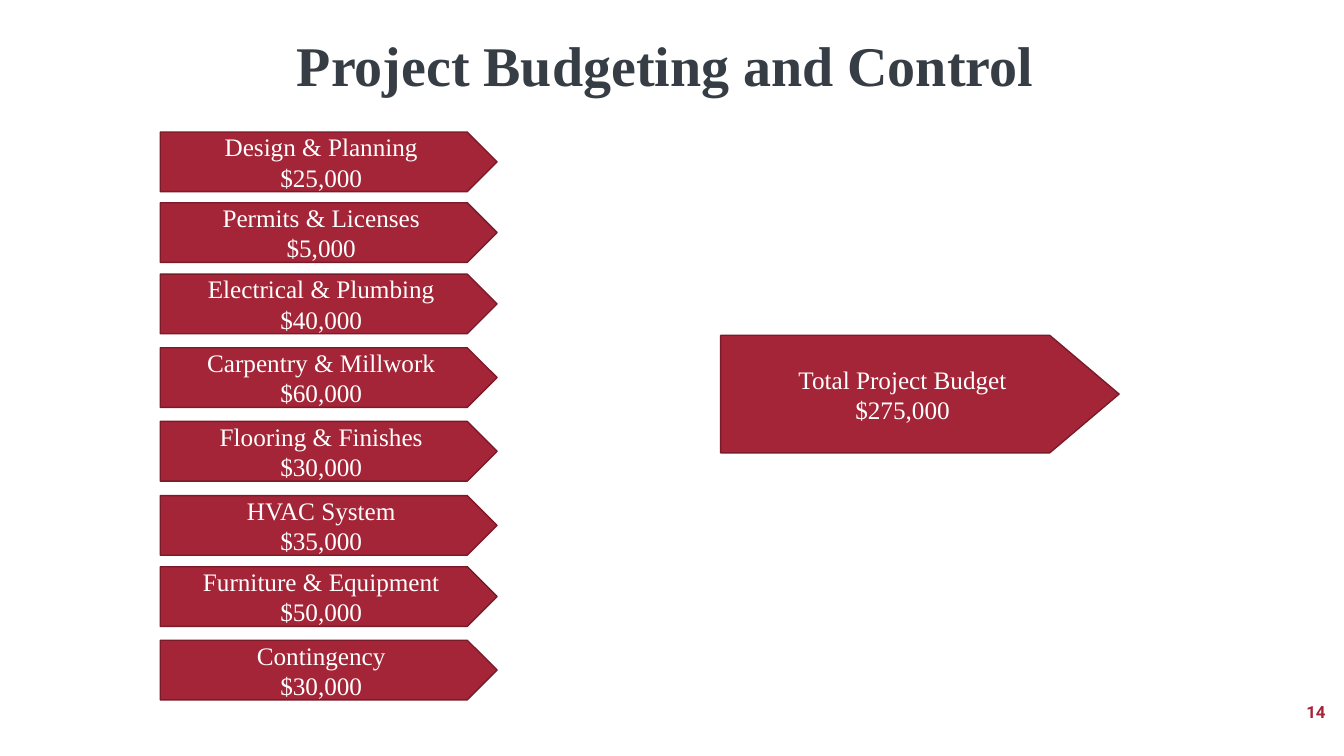
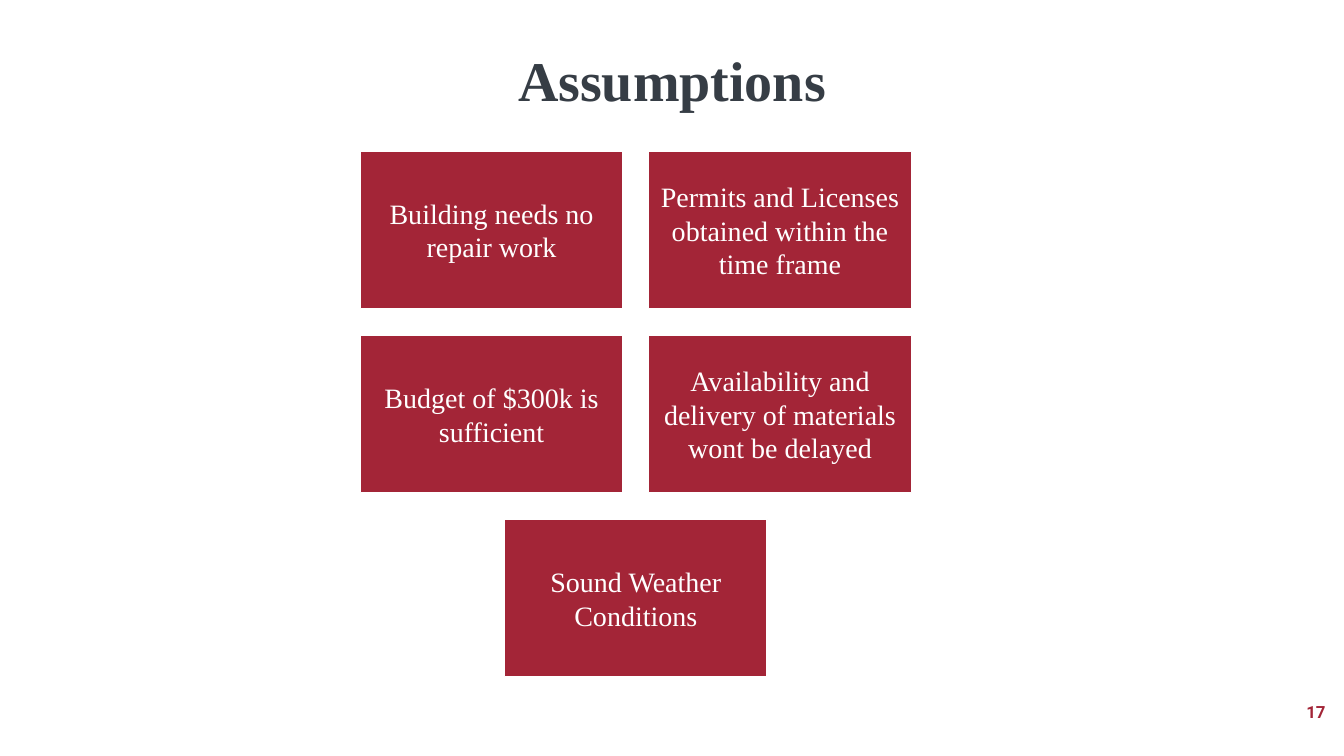
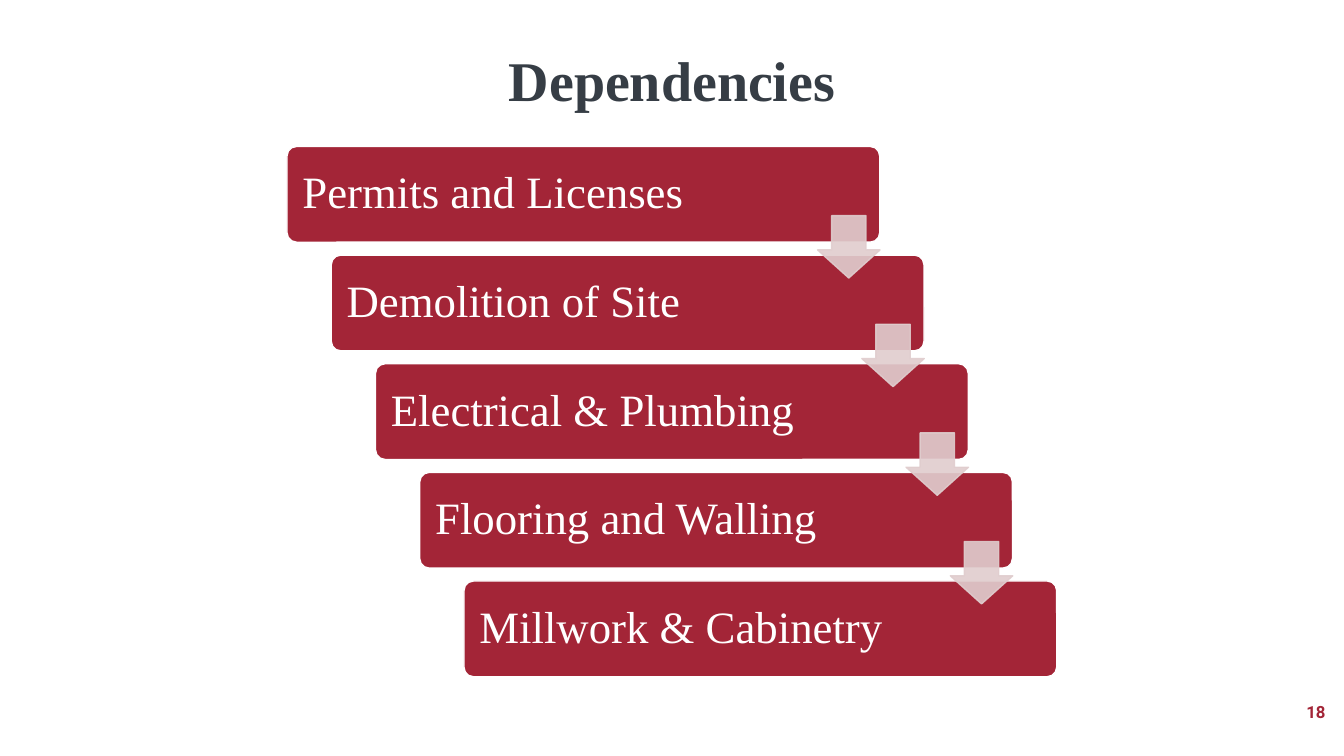
import lxml.etree
import pptx
import pptx.dml.color
import pptx.enum.shapes
import pptx.enum.text
import pptx.oxml.ns
import pptx.util

Pt = pptx.util.Pt
ALIGN = pptx.enum.text.PP_ALIGN
ANCHOR = pptx.enum.text.MSO_ANCHOR
SHAPE = pptx.enum.shapes.MSO_SHAPE

RED, DARK_RED, PINK = "A32537", "791B29", "E0CDCE"
SLATE, WHITE = "363D45", "FFFFFF"
SERIF, SANS = "Times New Roman", "Roboto"

COSTS = [
    (94.3, "Design & Planning", "$25,000"),
    (144.8, "Permits & Licenses", "$5,000"),
    (195.8, "Electrical & Plumbing", "$40,000"),
    (248.4, "Carpentry & Millwork", "$60,000"),
    (301, "Flooring & Finishes", "$30,000"),
    (354, "HVAC System", "$35,000"),
    (404.8, "Furniture & Equipment", "$50,000"),
    (457.3, "Contingency", "$30,000"),
]
ASSUMPTIONS = [
    "Building needs no repair work",
    "Permits and Licenses obtained within the time frame",
    "Budget of $300k is sufficient",
    "Availability and delivery of materials wont be delayed",
    "Sound Weather Conditions",
]
DEPENDENCIES = [
    "Permits and Licenses",
    "Demolition of Site",
    "Electrical & Plumbing",
    "Flooring and Walling",
    "Millwork & Cabinetry",
]


def paint(color_format, color):
    """Set a colour format to a hex colour."""
    color_format.rgb = pptx.dml.color.RGBColor.from_string(color)


def write(box, text, size=18, color=WHITE, font=SERIF, bold=False,
          align=ALIGN.CENTER, anchor=ANCHOR.MIDDLE, spacing=None, insets=(7.2, 3.6)):
    """Fill a box with one paragraph per line of text."""
    frame = box.text_frame
    frame.word_wrap = True
    frame.vertical_anchor = anchor
    frame.margin_left = frame.margin_right = Pt(insets[0])
    frame.margin_top = frame.margin_bottom = Pt(insets[1])
    frame.text = text
    for para in frame.paragraphs:
        para.alignment = align
        if spacing:
            para.line_spacing = spacing
        for span in para.runs:
            span.font.name = font
            span.font.size = Pt(size)
            span.font.bold = bold
            paint(span.font.color, color)


class Deck:
    """Holds the shared style and the current page."""

    def __init__(self):
        """Start an empty widescreen deck."""
        self.deck = pptx.Presentation()
        self.deck.slide_width, self.deck.slide_height = Pt(960), Pt(540)
        self.page = None

    def add_page(self, title, number, title_top=28.8):
        """Add a page with its title and page number."""
        self.page = self.deck.slides.add_slide(self.deck.slide_layouts[5])
        heading = self.page.shapes.title
        heading.left, heading.top = Pt(0), Pt(title_top)
        heading.width, heading.height = Pt(960), Pt(55.7)
        write(heading, title, size=40, color=SLATE, bold=True, anchor=ANCHOR.TOP)
        heading.text_frame.auto_size = pptx.enum.text.MSO_AUTO_SIZE.SHAPE_TO_FIT_TEXT
        corner = self.page.shapes.add_textbox(Pt(738), Pt(494), Pt(216), Pt(28.8))
        write(corner, str(number), size=12, color=RED, font=SANS, bold=True,
              align=ALIGN.RIGHT)

    def add_shape(self, kind, left, top, width, height, fill=RED, line=WHITE,
                  adjustments=(), opacity=None):
        """Add a flat preset shape and return it."""
        shape = self.page.shapes.add_shape(kind, Pt(left), Pt(top), Pt(width), Pt(height))
        shape.shadow.inherit = False
        shape.fill.solid()
        paint(shape.fill.fore_color, fill)
        paint(shape.line.color, line)
        shape.line.width = Pt(1)
        for index, value in enumerate(adjustments):
            shape.adjustments[index] = value
        if opacity:
            qn = pptx.oxml.ns.qn
            for tint in shape.element.spPr.findall(".//" + qn("a:srgbClr")):
                lxml.etree.SubElement(tint, qn("a:alpha"), val=str(opacity * 1000))
        return shape

    def add_cost(self, name, amount, left, top, width, height, point=0.5):
        """Add a pentagon with a cost name and its amount."""
        pentagon = self.add_shape(SHAPE.PENTAGON, left, top, width, height,
                                  line=DARK_RED, adjustments=[point])
        write(pentagon, f"{name}\n{amount}")

    def add_card(self, text, left, top, width, height):
        """Add a rectangle with centred text."""
        card = self.add_shape(SHAPE.RECTANGLE, left, top, width, height)
        write(card, text, size=20, insets=(5.76, 5.76))

    def add_step(self, text, left, top):
        """Add a rounded bar with its text on the left."""
        bar = self.add_shape(SHAPE.ROUNDED_RECTANGLE, left, top, 423.4, 68.4,
                             adjustments=[0.1])
        write(bar, text, size=32, align=ALIGN.LEFT, spacing=0.9, insets=(9, 7.2))

    def add_step_arrow(self, left, top):
        """Add a translucent arrow to the next step."""
        self.add_shape(SHAPE.DOWN_ARROW, left, top, 44.6, 44.6, fill=PINK, line=PINK,
                       adjustments=[0.55, 0.45], opacity=90)


def build_budget(deck):
    """Build the budget page."""
    deck.add_page("Project Budgeting and Control ", 14, title_top=18)
    for top, name, amount in COSTS:
        deck.add_cost(name, amount, 114.5, top, 240.6, 42.6)
    deck.add_cost("Total Project Budget", "$275,000", 514.8, 239.5, 284.6, 84, point=0.59)


def build_assumptions(deck):
    """Build the assumptions page as a grid with a centred last card."""
    deck.add_page("Assumptions", 17)
    left, top, width, height, column_step, row_step = 257.4, 108, 187.6, 112.4, 206, 131.5
    for index, text in enumerate(ASSUMPTIONS):
        row, column = divmod(index, 2)
        if index == len(ASSUMPTIONS) - 1:
            column = 0.5
        deck.add_card(text, left + column * column_step, top + row * row_step, width, height)


def build_dependencies(deck):
    """Build the dependencies page as a staircase."""
    deck.add_page("Dependencies", 18)
    step_x, step_y = 31.6, 77.6
    for index, text in enumerate(DEPENDENCIES):
        deck.add_step(text, 205 + index * step_x, 104.6 + index * step_y)
    for index in range(len(DEPENDENCIES) - 1):
        deck.add_step_arrow(584 + index * step_x, 154 + index * step_y)


def main():
    """Build and save the deck."""
    deck = Deck()
    build_budget(deck)
    build_assumptions(deck)
    build_dependencies(deck)
    deck.deck.save("out.pptx")


if __name__ == "__main__":
    main()
